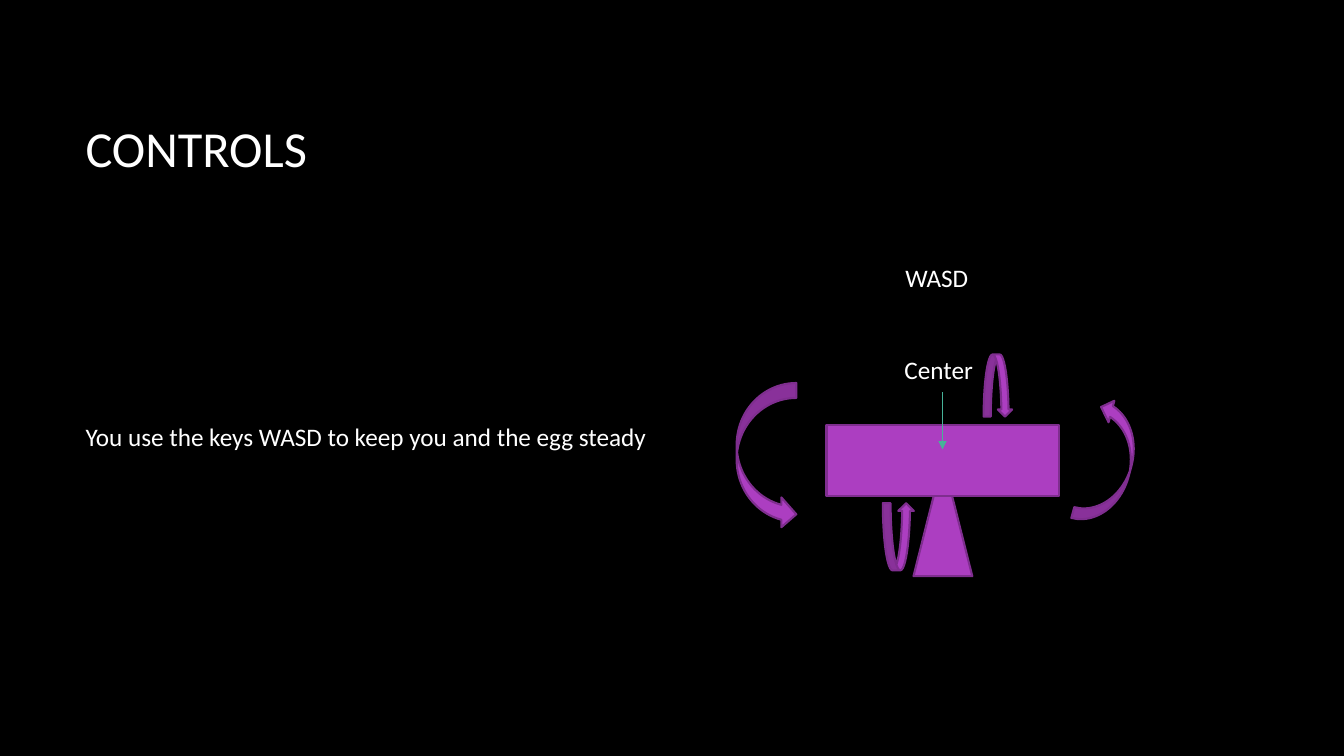
from lxml.etree import SubElement
from pptx import Presentation
from pptx.dml.color import RGBColor
from pptx.enum.shapes import MSO_CONNECTOR, MSO_SHAPE
from pptx.enum.text import MSO_ANCHOR, PP_ALIGN
from pptx.oxml.ns import qn
from pptx.util import Inches, Pt

BLACK = RGBColor(0x00, 0x00, 0x00)
WHITE = RGBColor(0xFF, 0xFF, 0xFF)
PURPLE = RGBColor(0xAC, 0x3E, 0xC1)
DARK_PURPLE = RGBColor(0x7F, 0x2E, 0x8F)
TEAL = RGBColor(0x46, 0xB2, 0x98)
COLUMNS, ROWS = 160, 90


class SlideBuilder:
    """Draws styled elements on one slide, placed on a grid of columns and rows."""

    def __init__(self, deck):
        self.page = deck.slides.add_slide(deck.slide_layouts[6])
        self.column = deck.slide_width / COLUMNS
        self.row = deck.slide_height / ROWS
        self.font = {"name": "Calibri", "size": Pt(18)}
        background = self.page.background.fill
        background.solid()
        background.fore_color.rgb = BLACK

    def place(self, *cells):
        steps = (self.column, self.row) * 2
        return [round(cell * step) for cell, step in zip(cells, steps)]

    def text(self, words, cells, anchor=MSO_ANCHOR.TOP, **font):
        box = self.page.shapes.add_textbox(*self.place(*cells))
        frame = box.text_frame
        for name, value in {"word_wrap": True, "vertical_anchor": anchor}.items():
            setattr(frame, name, value)
        para = frame.paragraphs[0]
        para.alignment = PP_ALIGN.LEFT
        span = para.add_run()
        span.text = words
        for name, value in {**self.font, **font}.items():
            setattr(span.font, name, value)
        span.font.color.rgb = WHITE

    def shape(self, kind, cells, rotation=0):
        shape = self.page.shapes.add_shape(kind, *self.place(*cells))
        shape.rotation = rotation
        shape.shadow.inherit = False
        shape.fill.solid()
        shape.fill.fore_color.rgb = PURPLE
        shape.line.color.rgb = DARK_PURPLE
        shape.line.width = Pt(1.5)

    def arrow(self, cells):
        arrow = self.page.shapes.add_connector(
            MSO_CONNECTOR.STRAIGHT, *self.place(*cells))
        arrow.line.color.rgb = TEAL
        arrow.line.width = Pt(0.75)
        SubElement(arrow.line._get_or_add_ln(), qn("a:tailEnd"), type="triangle")
        SubElement(arrow._element.spPr, qn("a:effectLst"))


def main():
    deck = Presentation()
    deck.slide_width, deck.slide_height = Inches(13.33), Inches(7.5)
    slide = SlideBuilder(deck)

    slide.text("CONTROLS", (9, 8, 133, 19), MSO_ANCHOR.MIDDLE, size=Pt(36))
    slide.text("You use the keys WASD to keep you and the egg steady",
               (9, 28, 133, 48), MSO_ANCHOR.MIDDLE)

    slide.shape(MSO_SHAPE.ISOSCELES_TRIANGLE, (108.75, 54.7, 7, 13.9))
    slide.shape(MSO_SHAPE.RECTANGLE, (98.4, 50.6, 27.7, 8.5))
    slide.text("WASD", (106.6, 30.6, 11.4, 4.8))
    slide.arrow((112.2, 46.7, 112.2, 53.5))
    slide.text("Center", (106.5, 41.6, 11.4, 4.8))

    for kind, cells, rotation in (
        (MSO_SHAPE.CURVED_RIGHT_ARROW, (87.7, 45.6, 7.1, 17.4), 0),
        (MSO_SHAPE.CURVED_RIGHT_ARROW, (129.4, 47.6, 5.3, 15), 195),
        (MSO_SHAPE.CURVED_UP_ARROW, (105.1, 59.9, 3.7, 8), 0),
        (MSO_SHAPE.CURVED_DOWN_ARROW, (117.1, 42.2, 3.4, 7.4), 0),
    ):
        slide.shape(kind, cells, rotation)

    deck.save("out.pptx")


if __name__ == "__main__":
    main()
